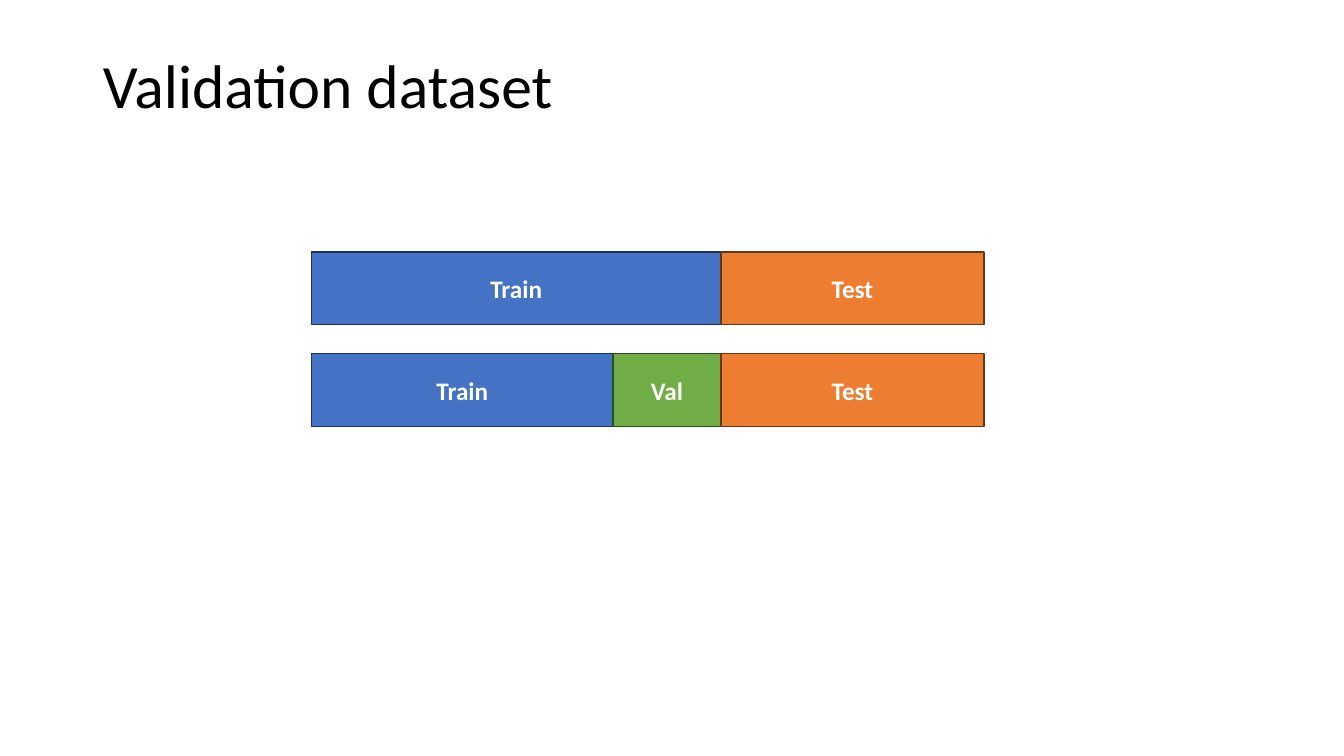
import pptx
import pptx.util
import pptx.dml.color
import pptx.enum.shapes
import pptx.enum.text
from pptx.util import Inches

TITLE = "Validation dataset"

# Each bar is a row of (label, width in inches) parts
BARS = [
    [("Train", 4.06), ("Test", 2.61)],
    [("Train", 2.99), ("Val", 1.07), ("Test", 2.61)],
]
BAR_LEFT, BAR_TOP, BAR_HEIGHT, BAR_STEP = 3.09, 2.5, 0.72, 1.01

FILLS = {"Train": "4472C4", "Val": "70AD47", "Test": "ED7D31"}
OUTLINES = {"Train": "1E3256", "Val": "314C1F", "Test": "683715"}
TEXT_COLOURS = {"title": "000000", "label": "FFFFFF"}
TITLE_FONT = {"name": "Calibri", "size": pptx.util.Pt(44), "bold": False}
LABEL_FONT = {"name": "Calibri", "size": pptx.util.Pt(18), "bold": True}


def rgb(value):
    return pptx.dml.color.RGBColor.from_string(value)


def write(shape, text, font_format, colour, alignment):
    frame = shape.text_frame
    frame.word_wrap = True
    frame.vertical_anchor = pptx.enum.text.MSO_ANCHOR.MIDDLE
    para = frame.paragraphs[0]
    para.alignment = alignment
    span = para.add_run()
    span.text = text
    for name, value in font_format.items():
        setattr(span.font, name, value)
    span.font.color.rgb = rgb(colour)
    return para


def add_part(page, label, left, top, width):
    box = page.shapes.add_shape(
        pptx.enum.shapes.MSO_SHAPE.RECTANGLE,
        Inches(left), Inches(top), Inches(width), Inches(BAR_HEIGHT))
    box.shadow.inherit = False
    box.fill.solid()
    box.fill.fore_color.rgb = rgb(FILLS[label])
    box.line.color.rgb = rgb(OUTLINES[label])
    box.line.width = pptx.util.Pt(1)
    write(box, label, LABEL_FONT, TEXT_COLOURS["label"],
          pptx.enum.text.PP_ALIGN.CENTER)


def main():
    deck = pptx.Presentation()
    deck.slide_width, deck.slide_height = Inches(13.33), Inches(7.5)
    page = deck.slides.add_slide(deck.slide_layouts.get_by_name("Title Only"))

    # Title
    title = page.shapes.title
    title.left, title.top = Inches(0.92), Inches(0.4)
    title.width, title.height = Inches(11.5), Inches(0.96)
    para = write(title, TITLE, TITLE_FONT, TEXT_COLOURS["title"],
                 pptx.enum.text.PP_ALIGN.LEFT)
    para.line_spacing = 0.9

    # Dataset bars, each part starting where the last one ends
    for row, parts in enumerate(BARS):
        left = BAR_LEFT
        for label, width in parts:
            add_part(page, label, left, BAR_TOP + row * BAR_STEP, width)
            left += width

    deck.save("out.pptx")


if __name__ == "__main__":
    main()
